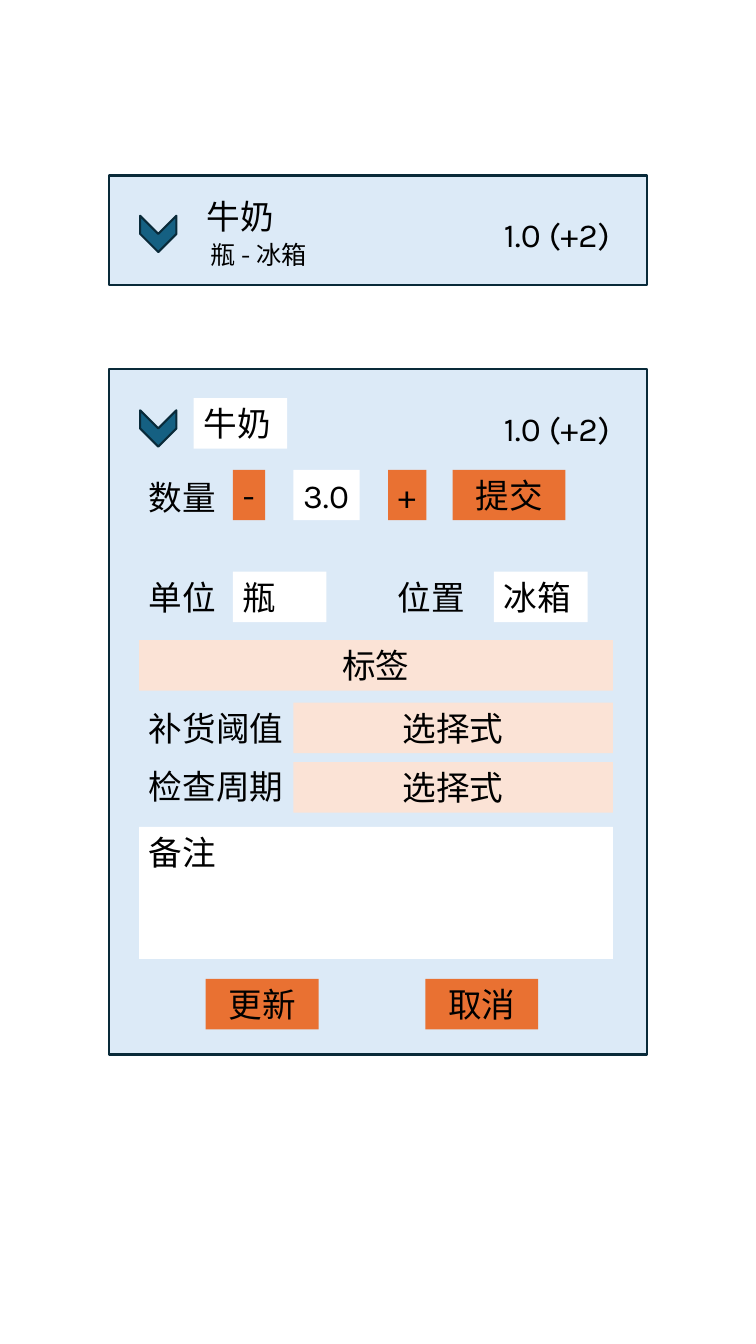
from pptx import Presentation
from pptx.dml.color import RGBColor
from pptx.enum import shapes, text
from pptx.util import Inches, Pt

THEME = {
    "font": "Karla", "size": 24, "small": 18, "text": "000000",
    "panel": "DCEAF7", "outline": "092A39", "chevron": "156082",
    "field": "FFFFFF", "button": "E97132", "picker": "FBE3D6",
}
ROW_HEIGHT = 0.5
LEFT, CONTENT_WIDTH = 1.38, 4.7
FIELD_LEFT, PICKER_LEFT, SECOND_LEFT = 2.31, 2.91, 3.85
LABEL_WIDTH, BUTTON_WIDTH = 0.93, 1.12

presentation = Presentation()
presentation.slide_width, presentation.slide_height = Inches(7.5), Inches(13.33)
slide = presentation.slides.add_slide(presentation.slide_layouts[6])


def add_outlined(kind, left, top, width, height, fill):
    shape = slide.shapes.add_shape(
        kind, Inches(left), Inches(top), Inches(width), Inches(height))
    shape.shadow.inherit = False
    shape.fill.solid()
    shape.fill.fore_color.rgb = RGBColor.from_string(THEME[fill])
    shape.line.color.rgb = RGBColor.from_string(THEME["outline"])
    shape.line.width = Pt(1.5)
    return shape


def add_text(words, left, top, width, height=ROW_HEIGHT, fill=None,
             centred=False, wrap=True, size="size"):
    box = slide.shapes.add_textbox(
        Inches(left), Inches(top), Inches(width), Inches(height))
    if fill:
        box.fill.solid()
        box.fill.fore_color.rgb = RGBColor.from_string(THEME[fill])
    frame = box.text_frame
    frame.word_wrap = wrap
    frame.auto_size = text.MSO_AUTO_SIZE.SHAPE_TO_FIT_TEXT
    # A fixed-height box keeps its size when the text is shorter
    if height > ROW_HEIGHT:
        frame.auto_size = text.MSO_AUTO_SIZE.NONE
    paragraph = frame.paragraphs[0]
    paragraph.alignment = text.PP_ALIGN.CENTER if centred else text.PP_ALIGN.LEFT
    run = paragraph.add_run()
    run.text = words
    formats = {"name": THEME["font"], "size": Pt(THEME[size])}
    for name, value in formats.items():
        setattr(run.font, name, value)
    run.font.color.rgb = RGBColor.from_string(THEME["text"])


# Collapsed and expanded cards, each with a chevron and a stock count
for card_top, card_height, chevron_top, count_top in (
        (1.74, 1.09, 2.14, 2.07), (3.66, 6.8, 4.07, 4)):
    add_outlined(shapes.MSO_SHAPE.RECTANGLE, 1.08, card_top, 5.34, card_height, "panel")
    chevron = add_outlined(
        shapes.MSO_SHAPE.CHEVRON, 1.39, chevron_top, 0.36, 0.36, "chevron")
    chevron.rotation = 90
    add_text("1.0 (+2)", 4.9, count_top, 1.29, wrap=False)

# Item name and details
add_text("牛奶", 1.95, 1.89, 2.59)
add_text("瓶 - 冰箱", 1.99, 2.32, 1.27, 0.4, size="small")
add_text("牛奶", 1.92, 3.95, LABEL_WIDTH, fill="field")

# Quantity row
quantity_top = 4.66
add_text("数量", LEFT, 4.68, LABEL_WIDTH)
for words, left, width, fill in (
        ("-", FIELD_LEFT, 0.32, "button"),
        ("3.0", PICKER_LEFT, 0.66, "field"),
        ("+", SECOND_LEFT, 0.38, "button")):
    add_text(words, left, quantity_top, width, fill=fill, wrap=False)

# Unit and location row
for label, value, label_left, value_left in (
        ("单位", "瓶", LEFT, FIELD_LEFT), ("位置", "冰箱", SECOND_LEFT, 4.9)):
    add_text(label, label_left, 5.67, LABEL_WIDTH)
    add_text(value, value_left, 5.67, LABEL_WIDTH, fill="field")

# Tags, pickers and notes
add_text("标签", LEFT, 6.35, CONTENT_WIDTH, fill="picker", centred=True)
for label, label_top, picker_top in (("补货阈值", 6.97, 6.97), ("检查周期", 7.55, 7.56)):
    add_text(label, LEFT, label_top, 1.6)
    add_text("选择式", PICKER_LEFT, picker_top, 3.17, fill="picker", centred=True)
add_text("备注", LEFT, 8.2, CONTENT_WIDTH, 1.31, fill="field")

# Action buttons
for words, left, top in (
        ("提交", 4.49, quantity_top), ("更新", 2.04, 9.71), ("取消", 4.22, 9.71)):
    add_text(words, left, top, BUTTON_WIDTH, fill="button", centred=True)

presentation.save("out.pptx")
